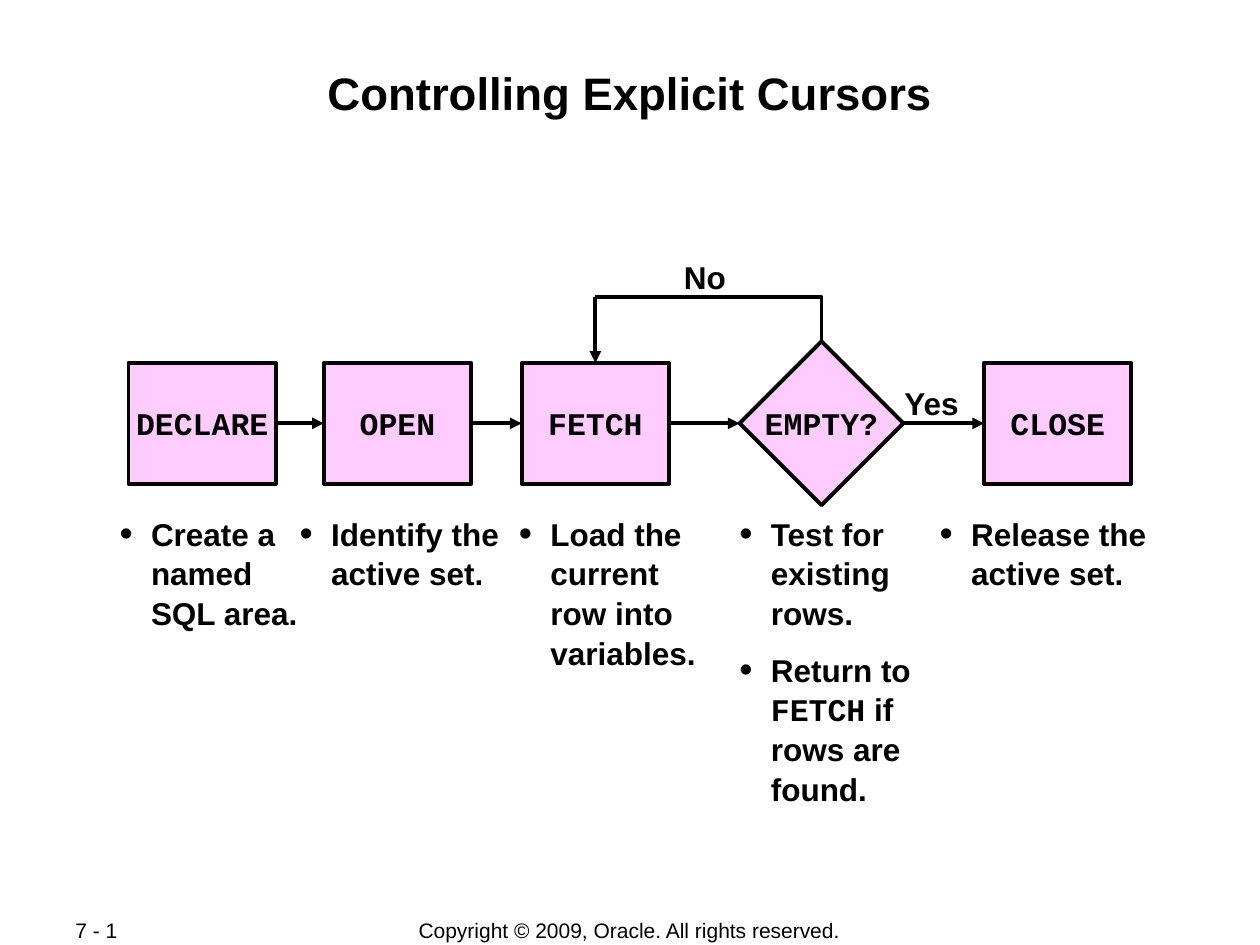
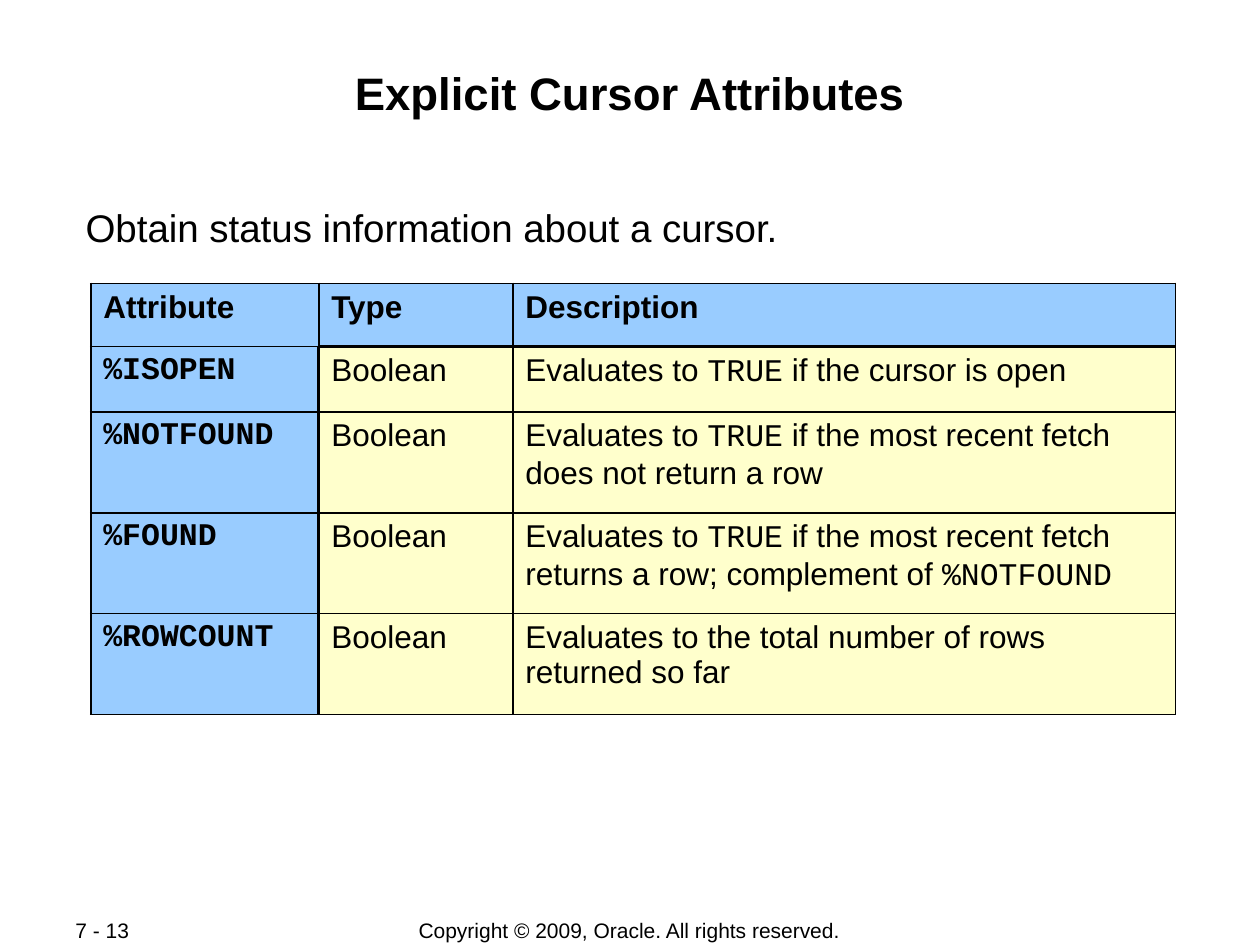
import dataclasses

import lxml.etree
import pptx
import pptx.dml.color
import pptx.enum.shapes
import pptx.enum.text
import pptx.oxml.ns
import pptx.util

Pt = pptx.util.Pt
Shape = pptx.enum.shapes.MSO_SHAPE
Align = pptx.enum.text.PP_ALIGN
Anchor = pptx.enum.text.MSO_ANCHOR


@dataclasses.dataclass(frozen=True)
class Theme:
    sans: str = "Arial"
    mono: str = "Courier New"
    ink: str = "000000"
    paper: str = "FFFFFF"
    step: str = "FFCCFF"
    head: str = "99CCFF"
    body: str = "FFFFCC"
    title: int = 26
    lead: int = 22
    text: int = 18
    foot: int = 12
    line: float = 2.25
    thin: float = 1.08
    thick: float = 2.21


THEME = Theme()
WIDTH, HEIGHT = pptx.util.Inches(10), pptx.util.Inches(7.5)
COL, ROW = WIDTH / 100, HEIGHT / 75

BOX_W, BOX_H, MID = 11.7, 9.6, 33.6
GEM = 13
STEPS = [("DECLARE", 10.2), ("OPEN", 25.7), ("FETCH", 41.4),
         ("EMPTY?", 58.7), ("CLOSE", 78.1)]
NOTE_TOP = 40.2
NOTES = [
    ("Create a named SQL area.", 8.5, NOTE_TOP, 16.9, 10.1),
    ("Identify the active set.", 22.8, NOTE_TOP, 19, 8),
    ("Load the current row into variables.", 40.2, NOTE_TOP, 16.5, 14.2),
    ("Test for existing rows.", 57.7, NOTE_TOP, 18.3, 12.2),
    ("Return to `FETCH` if rows are found.", 57.7, 51, 19, 15.6),
    ("Release the active set.", 73.6, NOTE_TOP, 19, 8),
]

GRID = [
    ("Attribute", "Type", "Description"),
    ("`%ISOPEN`", "Boolean", "Evaluates to `TRUE` if the cursor is open"),
    ("`%NOTFOUND`", "Boolean",
     "Evaluates to `TRUE` if the most recent fetch does not return a row"),
    ("`%FOUND`", "Boolean",
     "Evaluates to `TRUE` if the most recent fetch returns a row; "
     "complement of `%NOTFOUND`"),
    ("`%ROWCOUNT`", "Boolean",
     "Evaluates to the total number of rows returned so far"),
]
GRID_COLS = [18.1, 15.4, 52.6]
GRID_ROWS = [5, 5.2, 8, 8, 8]


def rgb(code):
    return pptx.dml.color.RGBColor.from_string(code)


def place(left, top, width, height):
    """Turn grid columns and rows into slide lengths."""
    return (round(left * COL), round(top * ROW),
            round(width * COL), round(height * ROW))


def sub(node, tag, **attrs):
    return lxml.etree.SubElement(node, pptx.oxml.ns.qn(tag), attrs)


def write(frame, text, size=THEME.text, bold=False, align=Align.LEFT):
    """Fill the first paragraph; parts between backticks are monospaced."""
    para = frame.paragraphs[0]
    para.alignment = align
    for i, part in enumerate(text.split("`")):
        if not part:
            continue
        run = para.add_run()
        run.text = part
        run.font.name = THEME.mono if i % 2 else THEME.sans
        run.font.size = Pt(size)
        run.font.bold = bold
        run.font.color.rgb = rgb(THEME.ink)
    return para


def label(slide, text, area, wrap=True, anchor=Anchor.TOP, **style):
    frame = slide.shapes.add_textbox(*place(*area)).text_frame
    frame.word_wrap = wrap
    frame.vertical_anchor = anchor
    return write(frame, text, **style)


def trim(frame):
    """Make all four insets narrow."""
    edge = pptx.util.Inches(0.01)
    frame.margin_left = frame.margin_right = edge
    frame.margin_top = frame.margin_bottom = edge


def start(deck, title, page):
    """Add a slide with its title, page number and copyright line."""
    slide = deck.slides.add_slide(deck.slide_layouts[5])
    slide.background.fill.solid()
    slide.background.fill.fore_color.rgb = rgb(THEME.paper)
    head = slide.shapes.title
    head.left, head.top, head.width, head.height = place(6.7, 5.1, 86.6, 9.6)
    frame = head.text_frame
    frame.auto_size = pptx.enum.text.MSO_AUTO_SIZE.NONE
    frame.vertical_anchor = Anchor.TOP
    trim(frame)
    write(frame, title, THEME.title, True, Align.CENTER)
    foot = dict(anchor=Anchor.MIDDLE, size=THEME.foot)
    label(slide, page, (5, 72.8, 10.6, 2), **foot)
    label(slide, "Copyright © 2009, Oracle. All rights reserved.",
          (27.5, 72.8, 44.9, 2.1), align=Align.CENTER, **foot)
    return slide


def pen(shape):
    shape.line.color.rgb = rgb(THEME.ink)
    shape.line.width = Pt(THEME.line)


def step(slide, name, left):
    """Draw a flow step; a question becomes a diamond."""
    gem = name.endswith("?")
    wide, high = (GEM, GEM) if gem else (BOX_W, BOX_H)
    shape = slide.shapes.add_shape(
        Shape.DIAMOND if gem else Shape.RECTANGLE,
        *place(left, MID - high / 2, wide, high))
    shape.shadow.inherit = False
    shape.fill.solid()
    shape.fill.fore_color.rgb = rgb(THEME.step)
    pen(shape)
    frame = shape.text_frame
    frame.word_wrap = False
    frame.vertical_anchor = Anchor.MIDDLE
    write(frame, f"`{name}`", bold=True, align=Align.CENTER)
    return shape


def arrow(slide, target, site, source=None, begin=(0, 0)):
    """Point at a side of target, from source's right side or from begin."""
    link = slide.shapes.add_connector(
        pptx.enum.shapes.MSO_CONNECTOR.STRAIGHT, *begin, 0, 0)
    if source is not None:
        link.begin_connect(source, 3)
    link.end_connect(target, site)
    pen(link)
    sub(link.line._get_or_add_ln(), "a:tailEnd", type="triangle")
    sub(link._element.spPr, "a:effectLst")


def loop(slide, gem, box):
    """Lead from the top of the diamond back to the top of the box."""
    right = gem.left + gem.width // 2
    left = box.left + box.width // 2
    top = round(23.6 * ROW)
    path = slide.shapes.build_freeform(right, gem.top)
    path.add_line_segments([(right, top), (left, top)], close=False)
    bend = path.convert_to_shape()
    bend.shadow.inherit = False
    bend.fill.background()
    pen(bend)
    arrow(slide, box, 0, begin=(left, top))


def note(slide, text, *area):
    para = label(slide, text, area, bold=True)
    para.line_spacing = 1.05
    props = para._p.get_or_add_pPr()
    indent = round(2.5 * COL)
    props.set("marL", str(indent))
    props.set("indent", str(-indent))
    sub(sub(props, "a:buClr"), "a:srgbClr", val=THEME.ink)
    sub(props, "a:buSzPct", val="120000")
    sub(props, "a:buFont", typeface=THEME.sans)
    sub(props, "a:buChar", char="•")


def edge(cell, side, width):
    line = sub(cell._tc.get_or_add_tcPr(), f"a:ln{side}", w=str(Pt(width)))
    sub(sub(line, "a:solidFill"), "a:srgbClr", val=THEME.ink)


def fill_cell(cell, text, row, col):
    """Format a cell; heavy rules part the headings from the values."""
    heavy = {"L": col == 1 and row > 0, "R": col == 0 and row > 0,
             "T": row == 1 and col > 0, "B": row == 0 and col > 0}
    for side, thick in heavy.items():
        edge(cell, side, THEME.thick if thick else THEME.thin)
    named = row == 0 or col == 0
    cell.fill.solid()
    cell.fill.fore_color.rgb = rgb(THEME.head if named else THEME.body)
    write(cell.text_frame, text, bold=named)


def table(slide, left, top):
    grid = slide.shapes.add_table(
        len(GRID_ROWS), len(GRID_COLS),
        *place(left, top, sum(GRID_COLS), sum(GRID_ROWS))).table
    grid.first_row = grid.horz_banding = False
    for column, width in zip(grid.columns, GRID_COLS):
        column.width = round(width * COL)
    for line, height in zip(grid.rows, GRID_ROWS):
        line.height = round(height * ROW)
    for r, texts in enumerate(GRID):
        for c, text in enumerate(texts):
            fill_cell(grid.cell(r, c), text, r, c)


def flow(deck):
    slide = start(deck, "Controlling Explicit Cursors", "7 - 1")
    shapes = [step(slide, name, left) for name, left in STEPS]
    for source, target in zip(shapes, shapes[1:]):
        arrow(slide, target, 1, source)
    loop(slide, shapes[3], shapes[2])
    label(slide, "No", (53.3, 20, 5.4, 4), wrap=False, bold=True)
    label(slide, "Yes", (70.8, 30, 6.5, 4), wrap=False, bold=True)
    for item in NOTES:
        note(slide, *item)


def traits(deck):
    slide = start(deck, "Explicit Cursor Attributes", "7 - 13")
    lead = slide.shapes.add_textbox(*place(6.7, 16.1, 86.6, 5)).text_frame
    lead.word_wrap = True
    trim(lead)
    write(lead, "Obtain status information about a cursor.", THEME.lead)
    table(slide, 7.2, 22.5)


def main():
    deck = pptx.Presentation()
    deck.slide_width, deck.slide_height = WIDTH, HEIGHT
    flow(deck)
    traits(deck)
    deck.save("out.pptx")


if __name__ == "__main__":
    main()
